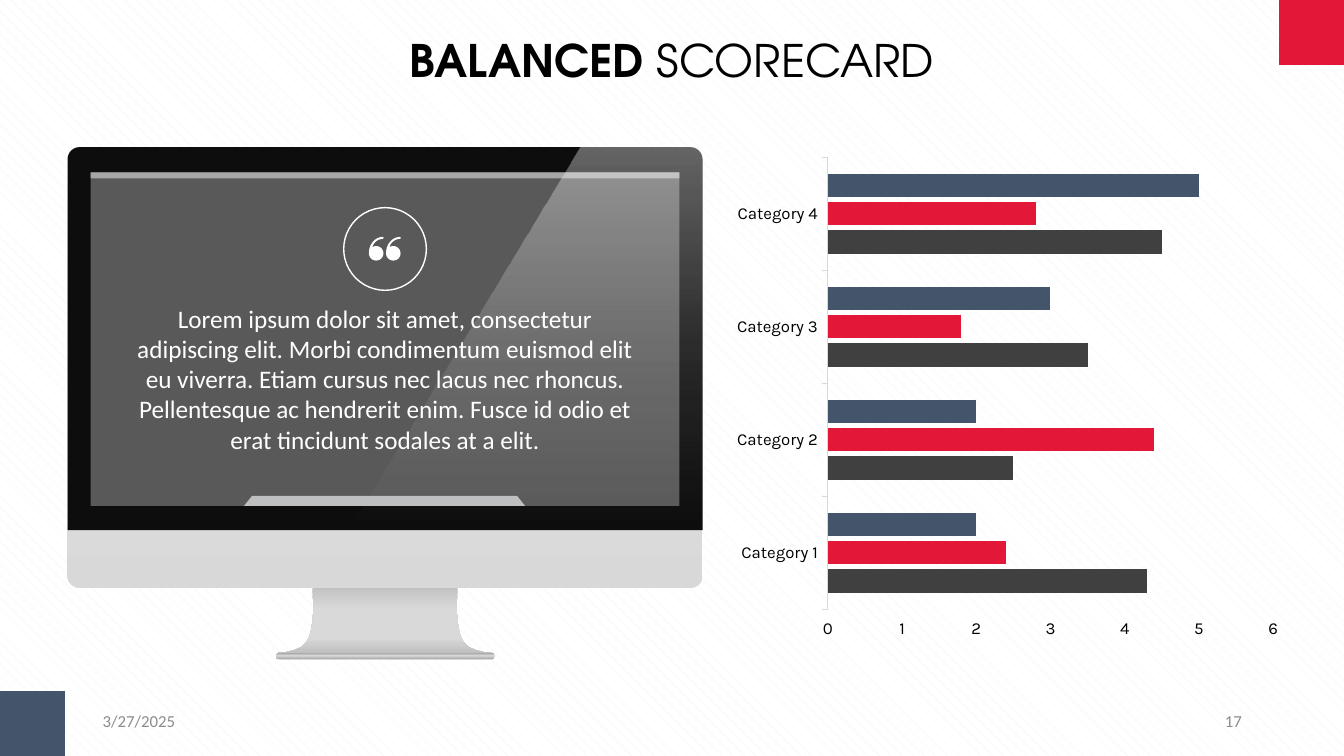
from dataclasses import dataclass
from math import cos, radians, sin

from lxml.etree import SubElement
from pptx import Presentation
from pptx.chart.data import CategoryChartData
from pptx.dml.color import RGBColor
from pptx.enum.chart import XL_CHART_TYPE, XL_TICK_MARK
from pptx.enum.dml import MSO_PATTERN
from pptx.enum.shapes import MSO_SHAPE
from pptx.enum.text import MSO_ANCHOR, PP_ALIGN
from pptx.oxml.ns import qn
from pptx.util import Emu, Inches, Pt

SLIDE_WIDTH, SLIDE_HEIGHT = Emu(12192000), Inches(7.5)
CELL = SLIDE_WIDTH // 40


@dataclass(frozen=True)
class Theme:
    white: str = "FFFFFF"
    stripe: str = "F2F2F2"
    black: str = "000000"
    bezel: str = "0D0D0D"
    screen: str = "595959"
    menu: str = "A6A6A6"
    dock: str = "BDBFC1"
    red: str = "E31737"
    navy: str = "44546A"
    charcoal: str = "404040"
    axis: str = "D9D9D9"
    footer: str = "8C8C8C"
    heading_font: str = "TeX Gyre Adventor"
    body_font: str = "Calibri"
    axis_font: str = "Karla"
    heading_size: int = 32
    body_size: int = 18
    small_size: int = 12
    chart_size: int = 10
    stand: tuple = ((0, "BFBFBF", 100), (37, "D9D9D9", 100),
                    (77, "D9D9D9", 100), (100, "BFBFBF", 100))
    base: tuple = ((0, "A6A6A6", 100), (44, "D9D9D9", 100), (100, "A6A6A6", 100))
    case: tuple = ((0, "F2F2F2", 100), (50, "E5E5E5", 100), (100, "D8D8D8", 100))
    glare: tuple = ((0, "FFFFFF", 36), (50, "FFFFFF", 13), (100, "FFDDDE", 0))


THEME = Theme()


def color(code):
    return RGBColor.from_string(code)


def grid(*cells):
    return [Emu(round(cell * CELL)) for cell in cells]


def fill_downward(shape, stops):
    shape.fill.gradient()
    shape.fill.gradient_angle = 270
    stop_list = shape.fill._xPr.find(qn("a:gradFill")).find(qn("a:gsLst"))
    for old_stop in list(stop_list):
        stop_list.remove(old_stop)
    for position, code, opacity in stops:
        stop = SubElement(stop_list, qn("a:gs"), pos=str(position * 1000))
        tint = SubElement(stop, qn("a:srgbClr"), val=code)
        if opacity < 100:
            SubElement(tint, qn("a:alpha"), val=str(opacity * 1000))


def paint(shape, fill):
    shape.shadow.inherit = False
    shape.line.fill.background()
    if fill is None:
        shape.fill.background()
    elif isinstance(fill, str):
        shape.fill.solid()
        shape.fill.fore_color.rgb = color(fill)
    else:
        fill_downward(shape, fill)
    return shape


def add_preset(shapes, kind, place, fill, adjustment=None):
    shape = shapes.add_shape(kind, *grid(*place))
    if adjustment is not None:
        shape.adjustments[0] = adjustment
    return paint(shape, fill)


def add_outline(shapes, points, fill):
    corners = [grid(*point) for point in points]
    builder = shapes.build_freeform(*corners[0])
    builder.add_line_segments(corners[1:], close=True)
    return paint(builder.convert_to_shape(), fill)


def arc(center, radii, start, stop, steps):
    angles = [radians(start + (stop - start) * step / steps) for step in range(steps + 1)]
    return [(center[0] + radii[0] * cos(angle), center[1] + radii[1] * sin(angle))
            for angle in angles]


def style_font(font, name, size, code, bold=False):
    font.name, font.size, font.bold = name, Pt(size), bold
    font.color.rgb = color(code)


def add_text(page, place, spans, name, size, code, align, inset=(0, 0)):
    box = page.shapes.add_textbox(*grid(*place))
    frame = box.text_frame
    frame.word_wrap = True
    frame.vertical_anchor = MSO_ANCHOR.MIDDLE
    frame.margin_left = frame.margin_right = grid(inset[0])[0]
    frame.margin_top = frame.margin_bottom = grid(inset[1])[0]
    para = frame.paragraphs[0]
    para.alignment = align
    for words, bold in spans:
        span = para.add_run()
        span.text = words
        style_font(span.font, name, size, code, bold)


def add_monitor(page):
    shapes = page.shapes.add_group_shape().shapes
    left, top, width, radius = 2.01, 4.38, 18.9, 0.36
    case_height, bezel_height = 13.11, 11.4
    middle, neck_top = left + width / 2, 17.4
    profile = [(2.16, 0), (2.13, 0.75), (2.16, 1.08), (2.19, 1.32), (2.25, 1.53),
               (2.34, 1.71), (2.49, 1.86), (2.7, 1.95), (2.94, 2.01), (3.21, 2.04)]
    left_side = [(middle - reach, neck_top + drop) for reach, drop in profile]
    right_side = [(middle + reach, neck_top + drop) for reach, drop in reversed(profile)]
    add_outline(shapes, left_side + right_side, THEME.stand)
    add_preset(shapes, MSO_SHAPE.ROUNDED_RECTANGLE, (8.22, 19.44, 6.51, 0.18), THEME.base, 0.5)
    add_preset(shapes, MSO_SHAPE.ROUNDED_RECTANGLE, (left, top, width, case_height),
               THEME.case, radius / case_height)
    add_preset(shapes, MSO_SHAPE.ROUND_2_SAME_RECTANGLE, (left, top, width, bezel_height),
               THEME.bezel, radius / bezel_height)
    add_preset(shapes, MSO_SHAPE.RECTANGLE, (2.7, 5.13, 17.52, 9.93), THEME.screen)
    add_preset(shapes, MSO_SHAPE.RECTANGLE, (2.7, 5.13, 17.52, 0.18), THEME.menu)
    add_preset(shapes, MSO_SHAPE.TRAPEZOID, (7.26, 14.76, 8.37, 0.3), THEME.dock, 0.8)
    right = left + width
    corner = arc((right - radius, top + radius), (radius, radius), 270, 360, 8)
    add_outline(shapes, [(17.28, top), *corner, (right, 15.57), (10.5, 15.57)], THEME.glare)


def add_quote_badge(page):
    ring = add_preset(page.shapes, MSO_SHAPE.OVAL, (10.23, 6.18, 2.46, 2.46), None)
    ring.line.color.rgb = color(THEME.white)
    ring.line.width = Pt(1)
    mark = (arc((14, 16), (14, 16), 180, 270, 10) + [(14.6, 1)]
            + arc((14, 13), (11, 11), 270, 195, 8)
            + arc((7.2, 16.3), (7.2, 7.2), 235, 540, 24))
    shapes = page.shapes.add_group_shape().shapes
    for left in (10.98, 11.49):
        add_outline(shapes, [(left + 0.03 * x, 7.05 + 0.03 * y) for x, y in mark], THEME.white)


def add_scores(page):
    data = CategoryChartData()
    data.categories = [f"Category {number}" for number in range(1, 5)]
    series_rows = [("Series 1", (4.3, 2.5, 3.5, 4.5), THEME.charcoal),
                   ("Series 2", (2.4, 4.4, 1.8, 2.8), THEME.red),
                   ("Series 3", (2, 2, 3, 5), THEME.navy)]
    for name, values, _ in series_rows:
        data.add_series(name, values)
    chart = page.shapes.add_chart(XL_CHART_TYPE.BAR_CLUSTERED,
                                  *grid(21.6, 4.38, 16.77, 14.94), data).chart
    chart.has_legend = chart.has_title = False
    style_font(chart.font, THEME.body_font, THEME.chart_size, THEME.black)
    plot = chart.plots[0]
    plot.vary_by_categories = False
    plot.gap_width, plot.overlap = 141, -20
    for series, (_, _, code) in zip(plot.series, series_rows):
        series.format.fill.solid()
        series.format.fill.fore_color.rgb = color(code)
    for axis in (chart.category_axis, chart.value_axis):
        axis.has_major_gridlines = False
        axis.major_tick_mark = XL_TICK_MARK.OUTSIDE
        axis.minor_tick_mark = XL_TICK_MARK.NONE
        style_font(axis.tick_labels.font, THEME.axis_font, THEME.small_size, THEME.black)
    chart.category_axis.format.line.color.rgb = color(THEME.axis)
    chart.category_axis.format.line.width = Pt(0.75)
    value_axis = chart.value_axis
    value_axis.format.line.fill.background()
    value_axis.minimum_scale, value_axis.maximum_scale, value_axis.major_unit = 0, 6, 1


def add_background(page):
    fill = page.background.fill
    fill.patterned()
    fill.pattern = MSO_PATTERN.SHINGLE
    fill.fore_color.rgb = color(THEME.stripe)
    fill.back_color.rgb = color(THEME.white)


def main():
    deck = Presentation()
    deck.slide_width, deck.slide_height = SLIDE_WIDTH, SLIDE_HEIGHT
    page = deck.slides.add_slide(deck.slide_layouts[6])
    add_background(page)
    add_monitor(page)
    add_quote_badge(page)
    for left, top, code in ((38.07, 0, THEME.red), (0, 20.57, THEME.navy)):
        add_preset(page.shapes, MSO_SHAPE.RECTANGLE, (left, top, 1.93, 1.93), code)
    add_text(page, (4.8, 0.96, 30.39, 1.62), [("BALANCED ", True), ("SCORECARD", False)],
             THEME.heading_font, THEME.heading_size, THEME.black, PP_ALIGN.CENTER)
    quote = ("Lorem ipsum dolor sit amet, consectetur adipiscing elit. Morbi condimentum "
             "euismod elit eu viverra. Etiam cursus nec lacus nec rhoncus. Pellentesque ac "
             "hendrerit enim. Fusce id odio et erat tincidunt sodales at a elit.")
    add_text(page, (3.81, 9, 15.3, 4.53), [(quote, False)],
             THEME.body_font, THEME.body_size, THEME.white, PP_ALIGN.CENTER)
    add_scores(page)
    for left, words, align in ((2.76, "3/27/2025", PP_ALIGN.LEFT), (28.26, "17", PP_ALIGN.RIGHT)):
        add_text(page, (left, 20.85, 9, 1.2), [(words, False)], THEME.body_font,
                 THEME.small_size, THEME.footer, align, (0.3, 0.15))
    deck.save("out.pptx")


if __name__ == "__main__":
    main()
